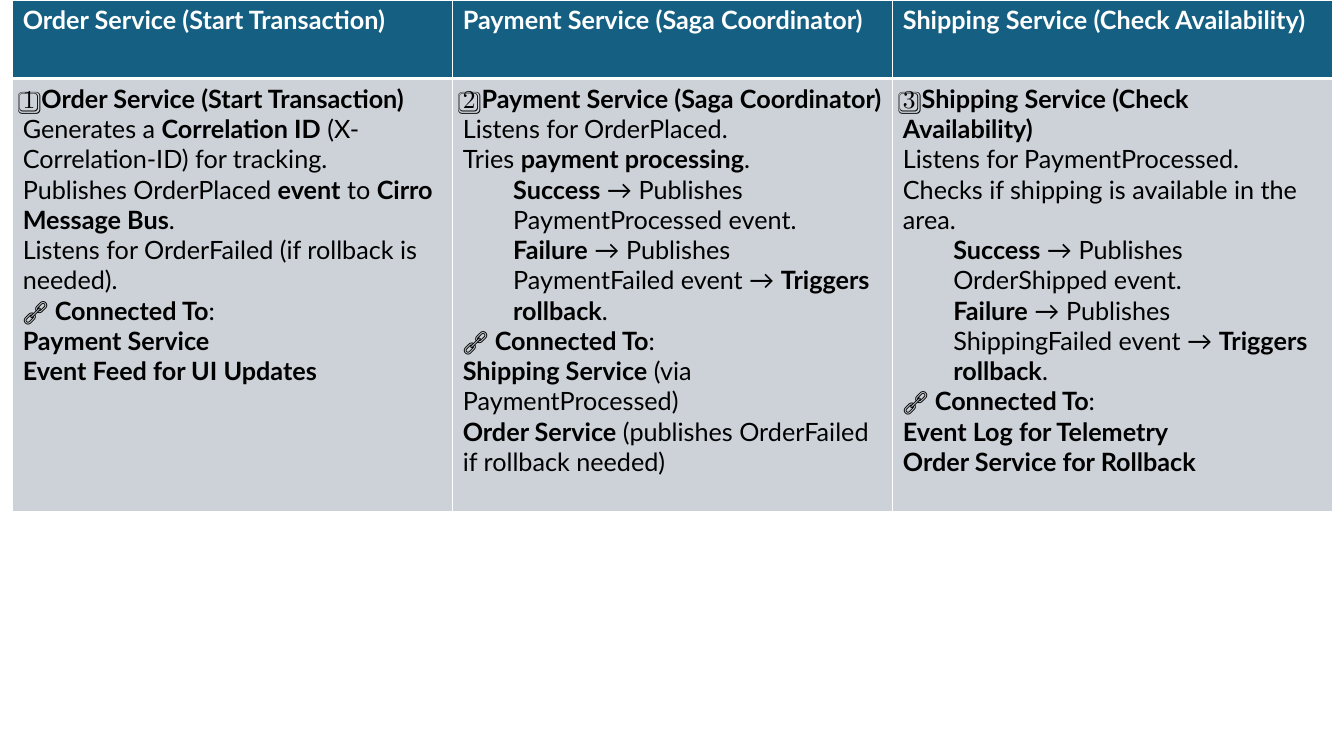
import pptx
import pptx.dml.color
import pptx.oxml
import pptx.oxml.ns
import pptx.util

Cm = pptx.util.Cm
Pt = pptx.util.Pt
WHITE = pptx.dml.color.RGBColor(0xFF, 0xFF, 0xFF)
BLACK = pptx.dml.color.RGBColor(0x00, 0x00, 0x00)
TEAL = pptx.dml.color.RGBColor(0x15, 0x60, 0x82)
GREY = pptx.dml.color.RGBColor(0xCC, 0xD2, 0xD8)
OUTCOMES = ("**Success**", "**Failure**")

services = [
    ("Order Service (Start Transaction)", [
        "**1️⃣ Order Service (Start Transaction)**",
        "Generates a **Correlation ID** (X-Correlation-ID) for tracking.",
        "Publishes OrderPlaced **event** to **Cirro Message Bus**.",
        "Listens for OrderFailed (if rollback is needed).",
        "🔗 **Connected To**:",
        "**Payment Service**",
        "**Event Feed for UI Updates**",
    ]),
    ("Payment Service (Saga Coordinator)", [
        "**2️⃣ Payment Service (Saga Coordinator)**",
        "Listens for OrderPlaced.",
        "Tries **payment processing**.",
        "**Success** → Publishes PaymentProcessed event.",
        "**Failure** → Publishes PaymentFailed event → **Triggers rollback**.",
        "🔗 **Connected To**:",
        "**Shipping Service** (via PaymentProcessed)",
        "**Order Service** (publishes OrderFailed if rollback needed)",
    ]),
    ("Shipping Service (Check Availability)", [
        "**3️⃣ Shipping Service (Check Availability)**",
        "Listens for PaymentProcessed.",
        "Checks if shipping is available in the area.",
        "**Success** → Publishes OrderShipped event.",
        "**Failure** → Publishes ShippingFailed event → **Triggers rollback**.",
        "🔗 **Connected To**:",
        "**Event Log for Telemetry**",
        "**Order Service for Rollback**",
    ]),
]


def fill_cell(cell, lines, background, text_color):
    cell.fill.solid()
    cell.fill.fore_color.rgb = background
    for number, line in enumerate(lines):
        frame = cell.text_frame
        paragraph = frame.add_paragraph() if number else frame.paragraphs[0]
        if line.startswith(OUTCOMES):
            paragraph.level = 1
            properties = paragraph._p.get_or_add_pPr()
            properties.set("marL", str(Cm(1.27)))
            properties.set("indent", "0")
        paragraph.font.name = "Lato"
        paragraph.font.size = Pt(18)
        paragraph.font.color.rgb = text_color
        for part, words in enumerate(line.split("**")):
            if words:
                run = paragraph.add_run()
                run.text = words
                run.font.bold = part % 2 == 1


def set_borders(cell, top, bottom):
    properties = cell._tc.get_or_add_tcPr()
    widths = {"lnL": 1, "lnR": 1, "lnT": top, "lnB": bottom}
    for position, (side, width) in enumerate(widths.items()):
        properties.insert(position, pptx.oxml.parse_xml(
            f'<a:{side} {pptx.oxml.ns.nsdecls("a")} w="{Pt(width)}"><a:solidFill>'
            f'<a:srgbClr val="{WHITE}"/></a:solidFill></a:{side}>'))


deck = pptx.Presentation()
deck.slide_width = Cm(33.87)
deck.slide_height = Cm(19.05)
slide = deck.slides.add_slide(deck.slide_layouts[6])

saga = slide.shapes.add_table(
    2, len(services), Cm(0.32), Cm(0), Cm(33.27), Cm(12.88)).table
saga.rows[0].height = Cm(1.98)
saga.rows[1].height = Cm(10.9)

for column, (title, steps) in enumerate(services):
    saga.columns[column].width = Cm(11.09)
    heading = saga.cell(0, column)
    fill_cell(heading, [f"**{title}**"], TEAL, WHITE)
    set_borders(heading, 1, 3)
    details = saga.cell(1, column)
    fill_cell(details, steps, GREY, BLACK)
    set_borders(details, 3, 1)

deck.save("out.pptx")
